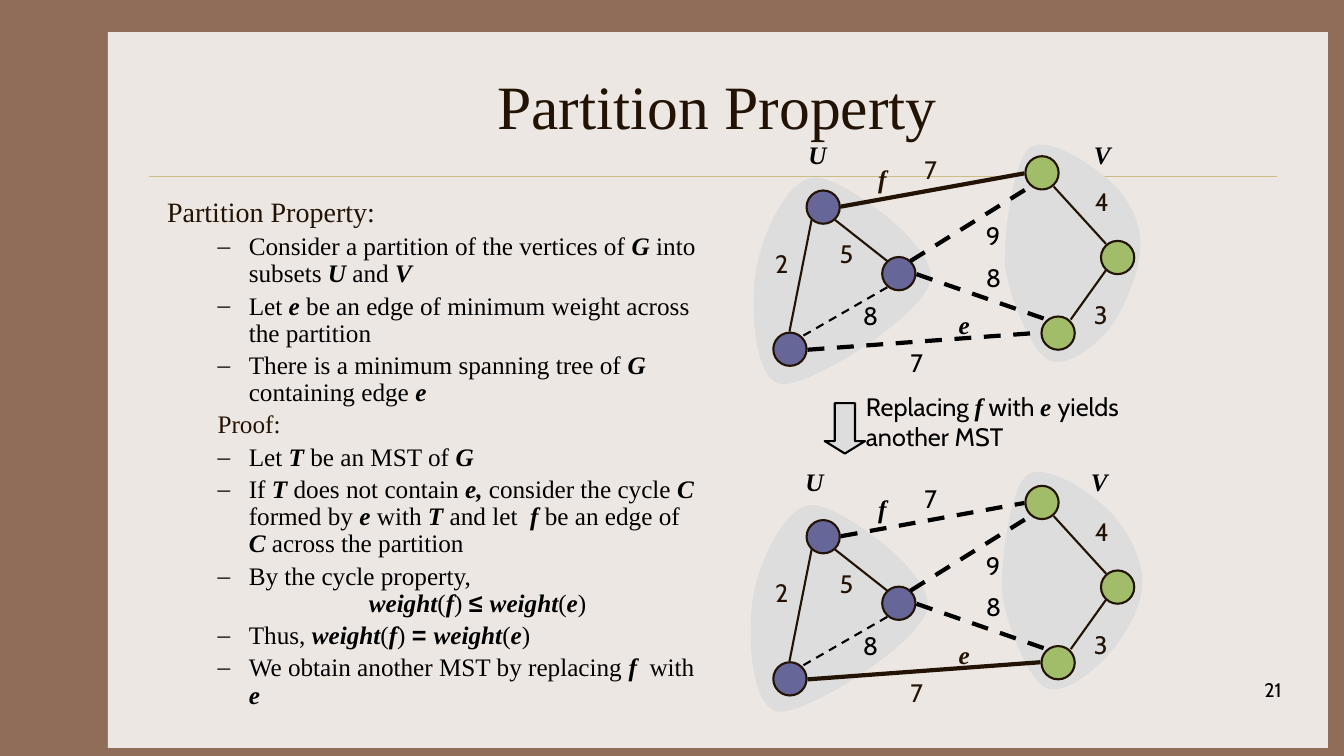
"""Builds the Partition Property slide with two partitioned graphs."""
from dataclasses import dataclass

from lxml import etree
from pptx import Presentation
from pptx import util as u
from pptx.dml.color import RGBColor
from pptx.enum import dml, shapes, text
from pptx.oxml.ns import qn

SERIF, SANS = "Times New Roman", "Cabin"
INK, BLACK, GREY = "221304", "000000", "DDDDDD"
PURPLE, GREEN = "666699", "A1BD69"
NODE_SIZE = 0.33
GRAPH_STEP = 3.27
REGION_SHIFT = (-0.03, 3.25)


@dataclass
class Node:
    x: float
    y: float
    fill: str


@dataclass
class Edge:
    start: tuple[float, float]
    end: tuple[float, float]
    weight: str
    weight_at: tuple[float, float]
    in_tree: bool = True
    width: float = 1.5
    name: str = ""
    name_at: tuple[float, float] = (0, 0)


@dataclass
class Item:
    content: str
    size: float = 18
    color: str = BLACK
    bullet: str = "–"
    left: float = 0.81
    hang: float = 0.31


NODES = [
    Node(8, 1.89, PURPLE), Node(10.17, 1.55, GREEN), Node(8.75, 2.55, PURPLE),
    Node(7.67, 3.3, PURPLE), Node(10.92, 2.39, GREEN), Node(10.33, 3.14, GREEN),
]
EDGES = [
    Edge((8.28, 2.18), (8.8, 2.59), "5", (8.23, 2.32)),
    Edge((8.8, 2.85), (7.95, 3.34), "8", (8.46, 2.93), False),
    Edge((8.05, 2.18), (7.83, 3.29), "2", (7.59, 2.41)),
    Edge((9.09, 2.72), (10.38, 3.17), "8", (9.68, 2.55), False, 3),
    Edge((8.01, 3.47), (10.32, 3.3), "7", (8.93, 3.4), False, 3, "e", (9.41, 3.02)),
    Edge((8.34, 2.05), (10.16, 1.72), "7", (9.07, 1.48), False, 3, "f", (8.61, 1.57)),
    Edge((9.03, 2.59), (10.22, 1.85), "9", (9.68, 2.14), False, 3),
    Edge((10.97, 2.42), (10.45, 1.85), "4", (10.76, 1.8)),
    Edge((10.62, 3.17), (10.97, 2.68), "3", (10.75, 2.92)),
]
Curve = list[tuple[float, float]]
U_REGION: Curve = [
    (7.5, 2.67), (7.44, 3.01), (7.47, 3.79), (7.76, 3.81), (8.05, 3.83), (9.17, 3.12),
    (9.23, 2.78), (9.29, 2.44), (8.39, 1.78), (8.1, 1.76), (7.82, 1.74), (7.56, 2.32), (7.5, 2.67),
]
V_REGION_TOP: Curve = [
    (9.97, 2.63), (9.99, 2.88), (10.21, 3.45), (10.38, 3.56), (10.54, 3.67), (10.82, 3.47),
    (10.98, 3.29), (11.14, 3.1), (11.31, 2.69), (11.31, 2.44), (11.32, 2.19), (11.18, 1.95),
    (11, 1.79), (10.82, 1.63), (10.38, 1.33), (10.21, 1.47), (10.04, 1.61), (9.95, 2.38), (9.97, 2.63),
]
V_REGION_BOTTOM: Curve = [
    (9.97, 2.63), (9.99, 2.88), (10.21, 3.45), (10.38, 3.56), (10.55, 3.67), (10.82, 3.45),
    (10.98, 3.29), (11.15, 3.12), (11.36, 2.79), (11.36, 2.54), (11.37, 2.29), (11.19, 1.96),
    (11, 1.79), (10.81, 1.61), (10.38, 1.33), (10.21, 1.47), (10.04, 1.61), (9.95, 2.38), (9.97, 2.63),
]
ITEMS = [
    Item("Partition Property:", 20, INK, "", 0.38, 0.38),
    Item("Consider a partition of the vertices of *G* into subsets *U* and *V*"),
    Item("Let *e* be an edge of minimum weight across the partition"),
    Item("There is a minimum spanning tree of *G* containing edge *e*"),
    Item("Proof:", color=INK, bullet=""),
    Item("Let *T* be an MST of *G*"),
    Item("If *T* does not contain *e,* consider the cycle *C* formed by *e* with *T *"
         "and let  *f* be an edge of *C* across the partition"),
    Item("By the cycle property,\n\t\t*weight*(*f*) *≤ **weight*(*e*)"),
    Item("Thus, *weight*(*f*) *= **weight*(*e*)"),
    Item("We obtain another MST by replacing *f  *with *e*"),
]


def rgb(color: str) -> RGBColor:
    """Turn a hex string into a colour."""
    return RGBColor.from_string(color)


def add_runs(p, content: str, size: float, color: str, font: str = SERIF) -> None:
    """Add runs, setting the parts between asterisks in bold italic serif."""
    for i, part in enumerate(content.split("*")):
        emphasis = i % 2 == 1
        symbol = part.strip() in ("≤", "=")
        for j, line in enumerate(part.split("\n")):
            if j:
                p.add_line_break()
            if not line:
                continue
            r = p.add_run()
            r.text = line
            r.font.size = u.Pt(size)
            r.font.name = "Arial" if symbol else SERIF if emphasis else font
            r.font.bold = emphasis
            r.font.italic = emphasis and not symbol
            r.font.color.rgb = rgb(color)


def add_label(s, x: float, y: float, content: str, color: str = BLACK,
              w: float = 0.34, h: float = 0.4, size: float = 18):
    """Add an unwrapped label and return its paragraph."""
    tf = s.shapes.add_textbox(u.Inches(x), u.Inches(y), u.Inches(w), u.Inches(h)).text_frame
    tf.word_wrap = False
    p = tf.paragraphs[0]
    add_runs(p, content, size, color, SANS)
    return p


def paint(sp, fill: str, line: str = "") -> None:
    """Give a shape a flat fill and an optional outline."""
    sp.shadow.inherit = False
    sp.fill.solid()
    sp.fill.fore_color.rgb = rgb(fill)
    if line:
        sp.line.color.rgb = rgb(line)
        sp.line.width = u.Pt(1.5)
    else:
        sp.line.fill.background()


def add_shape(s, kind, x: float, y: float, w: float, h: float, fill: str, line: str = ""):
    """Add a painted preset shape."""
    sp = s.shapes.add_shape(kind, u.Inches(x), u.Inches(y), u.Inches(w), u.Inches(h))
    paint(sp, fill, line)
    return sp


def add_line(s, start: tuple[float, float], end: tuple[float, float], color: str,
             width: float, dashed: bool = False) -> None:
    """Add a straight line."""
    c = s.shapes.add_connector(shapes.MSO_CONNECTOR.STRAIGHT,
                               *(u.Inches(v) for v in (*start, *end)))
    c.line.color.rgb = rgb(color)
    c.line.width = u.Pt(width)
    if dashed:
        c.line.dash_style = dml.MSO_LINE.DASH
    etree.SubElement(c._element.spPr, qn("a:effectLst"))


def add_region(s, curve: Curve, dx: float, dy: float) -> None:
    """Add a grey region bounded by cubic curves."""
    points = [(u.Inches(x + dx), u.Inches(y + dy)) for x, y in curve]
    builder = s.shapes.build_freeform(*points[0])
    builder.add_line_segments(points[1:], close=True)
    sp = builder.convert_to_shape()
    segments = list(sp._element.iter(qn("a:lnTo")))
    for i in range(0, len(segments), 3):
        cubic = etree.Element(qn("a:cubicBezTo"))
        segments[i].addprevious(cubic)
        for segment in segments[i:i + 3]:
            cubic.append(segment[0])
            segment.getparent().remove(segment)
    paint(sp, GREY)


def add_graph(s, row: int, tree_edge: str, v_region: Curve) -> None:
    """Add one partitioned graph whose spanning tree uses the given crossing edge."""
    dx, dy = (row * v for v in REGION_SHIFT)
    for curve in (v_region, U_REGION):
        add_region(s, curve, dx, dy)
    for x, name in ((7.92, "U"), (10.75, "V")):
        add_label(s, x + dx, 1.33 + dy, f"*{name}*", w=0.35)
    drop = row * GRAPH_STEP
    for n in NODES:
        add_shape(s, shapes.MSO_SHAPE.OVAL, n.x, n.y + drop, NODE_SIZE, NODE_SIZE, n.fill, INK)
    for e in EDGES:
        solid = e.in_tree or e.name == tree_edge
        color = INK if solid else BLACK
        (x1, y1), (x2, y2) = e.start, e.end
        add_line(s, (x1, y1 + drop), (x2, y2 + drop), color, e.width, not solid)
        add_label(s, e.weight_at[0], e.weight_at[1] + drop, e.weight, color)
        if e.name:
            add_label(s, e.name_at[0], e.name_at[1] + drop, f"*{e.name}*", color, 0.31)


def add_body(s) -> None:
    """Add the property and its proof."""
    tf = s.shapes.add_textbox(u.Inches(1.56), u.Inches(1.92), u.Inches(5.44), u.Inches(4.5)).text_frame
    tf.word_wrap = True
    for i, item in enumerate(ITEMS):
        p = tf.add_paragraph() if i else tf.paragraphs[0]
        p.line_spacing = 0.9
        if i:
            p.space_before = u.Pt(item.size * 0.2)
        pPr = p._p.get_or_add_pPr()
        pPr.set("marL", str(u.Inches(item.left)))
        pPr.set("indent", str(-u.Inches(item.hang)))
        pPr.set("defTabSz", str(u.Inches(1)))
        if item.bullet:
            etree.SubElement(pPr, qn("a:buFont")).set("typeface", SERIF)
            etree.SubElement(pPr, qn("a:buChar")).set("char", item.bullet)
        add_runs(p, item.content, item.size, item.color)


def main() -> None:
    """Build and save the slide."""
    prs = Presentation()
    prs.slide_width, prs.slide_height = u.Inches(13.33), u.Inches(7.5)
    s = prs.slides.add_slide(prs.slide_layouts[5])
    s.background.fill.solid()
    s.background.fill.fore_color.rgb = rgb("906D58")
    add_shape(s, shapes.MSO_SHAPE.RECTANGLE, 1.07, 0.32, 12.1, 7.1, "EDE7E3")
    add_line(s, (1.48, 1.75), (12.67, 1.75), "CBBD83", 0.25)
    title = s.shapes.title
    title.left, title.top, title.width, title.height = (u.Inches(v) for v in (1.56, 0.42, 11.11, 1.25))
    tf = title.text_frame
    tf.auto_size = text.MSO_AUTO_SIZE.NONE
    tf.vertical_anchor = text.MSO_ANCHOR.MIDDLE
    tf.paragraphs[0].alignment = text.PP_ALIGN.CENTER
    add_runs(tf.paragraphs[0], "Partition Property", 44, INK)
    title._element.getparent().append(title._element)
    add_body(s)
    add_graph(s, 0, "f", V_REGION_TOP)
    add_graph(s, 1, "e", V_REGION_BOTTOM)
    arrow = add_shape(s, shapes.MSO_SHAPE.DOWN_ARROW, 8.18, 4, 0.4, 0.5, GREY, BLACK)
    arrow.adjustments[1] = 0.31
    add_label(s, 8.49, 3.83, "Replacing *f* with *e *yields\nanother MST", w=2.84, h=0.7)
    number = add_label(s, 10.03, 6.68, "21", w=2.78, h=0.5, size=14)
    number.alignment = text.PP_ALIGN.RIGHT
    prs.save("out.pptx")


if __name__ == "__main__":
    main()
